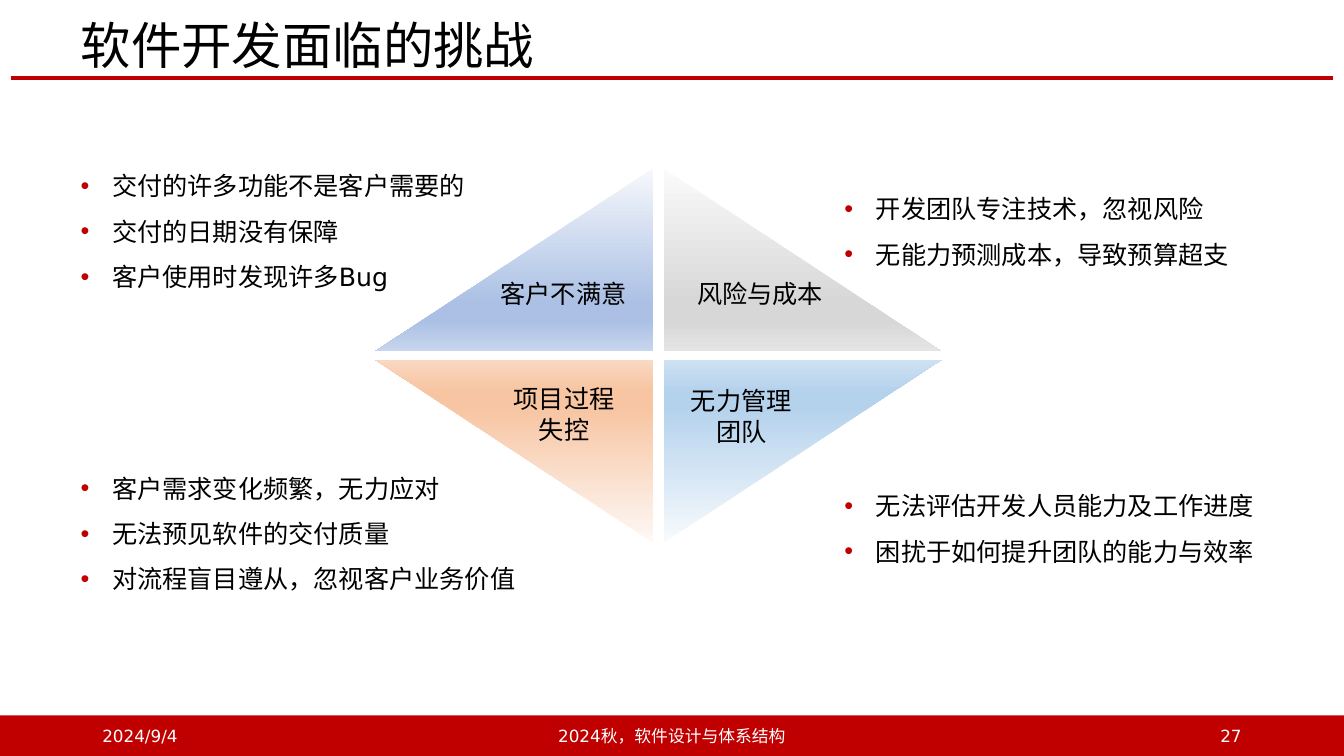
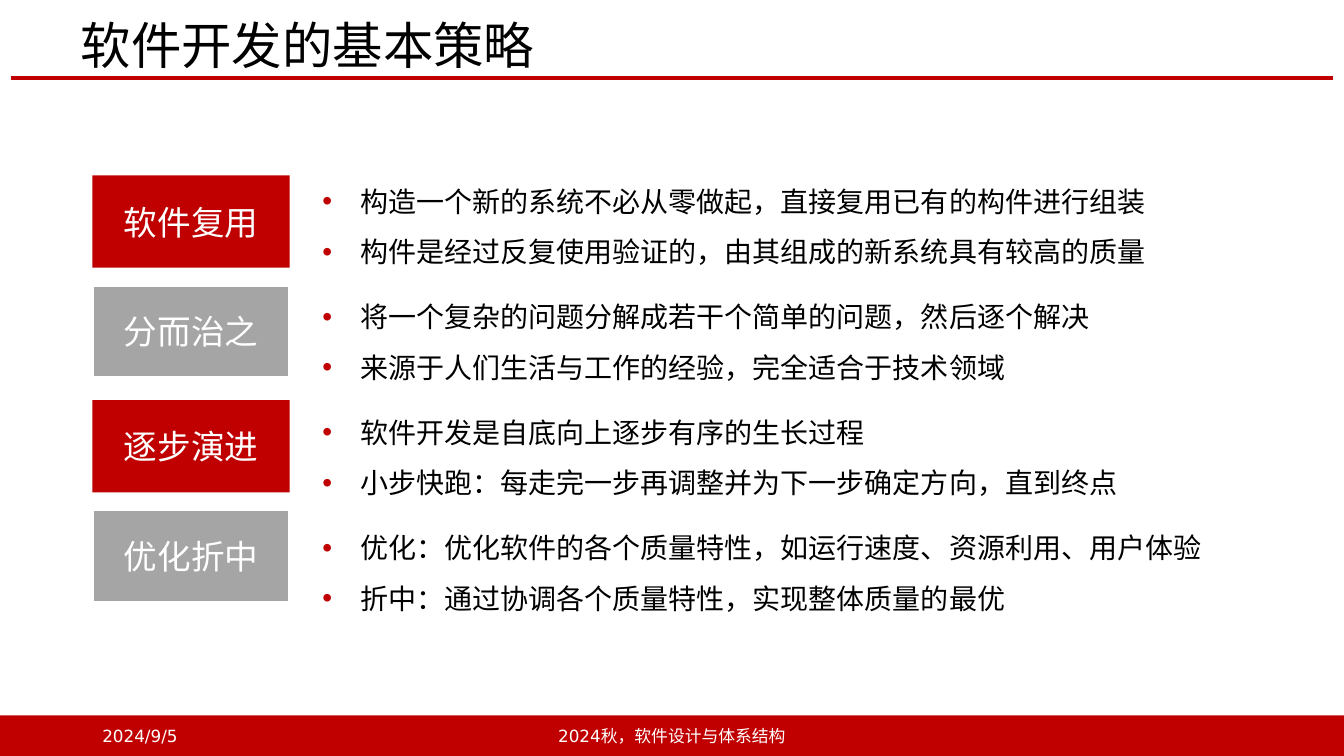
import pptx
import pptx.dml.color
import pptx.enum.shapes
import pptx.enum.text
import pptx.oxml
import pptx.oxml.ns
import pptx.util
from lxml import etree

Pt = pptx.util.Pt
RGBColor = pptx.dml.color.RGBColor
SHAPE = pptx.enum.shapes.MSO_SHAPE
ALIGN = pptx.enum.text.PP_ALIGN
ANCHOR = pptx.enum.text.MSO_ANCHOR
AUTO_SIZE = pptx.enum.text.MSO_AUTO_SIZE
qn = pptx.oxml.ns.qn

# Shared style
RED = RGBColor(0xC0, 0x00, 0x00)
GREY = RGBColor(0xA5, 0xA5, 0xA5)
WHITE = RGBColor(0xFF, 0xFF, 0xFF)
BLACK = RGBColor(0x00, 0x00, 0x00)
TITLE_FONT = "Arial"
TEXT_FONT = "DejaVu Sans"
SLIDE_WIDTH, SLIDE_HEIGHT = 960, 540
BAND_TOP, BAND_HEIGHT = 511, 29
COURSE = "2024秋，软件设计与体系结构"
COMPARISON_LAYOUT = 4  # a title and four bodies

# Gradient stops: positions in percent; each colour list is outer to inner
GRADIENT_STOPS = (0, 74, 83, 100)
BLUES = ("F6F8FC", "ABC0E4", "ABC0E4", "C7D5ED")
ORANGES = ("FEF8F5", "F7C5A2", "F7C5A2", "FAD8C1")
GREYS = ("FAFAFA", "D7D7D7", "D7D7D7", "E4E4E4")
SKY_BLUES = ("F7FAFD", "B5D2EC", "B5D2EC", "CEE1F2")


def place(shape, left, top, width, height):
    shape.left, shape.top = Pt(left), Pt(top)
    shape.width, shape.height = Pt(width), Pt(height)


def write(frame, lines, size, color, font=TEXT_FONT, align=ALIGN.LEFT):
    frame.text = "\n".join(lines)
    for paragraph in frame.paragraphs:
        paragraph.alignment = align
        paragraph.font.name = font
        paragraph.font.size = Pt(size)
        paragraph.font.bold = False
        paragraph.font.color.rgb = color


def add_text(slide, box, lines, size, color, align=ALIGN.LEFT,
             anchor=ANCHOR.TOP, wrap=True):
    frame = slide.shapes.add_textbox(*map(Pt, box)).text_frame
    frame.word_wrap = wrap
    frame.vertical_anchor = anchor
    write(frame, lines, size, color, align=align)


def add_block(slide, kind, box):
    block = slide.shapes.add_shape(kind, *map(Pt, box))
    block.shadow.inherit = False
    block.line.fill.background()
    return block


def add_bullet(paragraph, indent):
    properties = paragraph._p.get_or_add_pPr()
    properties.set("marL", str(Pt(indent)))
    properties.set("indent", str(-Pt(indent)))
    color = etree.SubElement(properties, qn("a:buClr"))
    etree.SubElement(color, qn("a:srgbClr"), val=str(RED))
    etree.SubElement(properties, qn("a:buFont"), typeface="Arial")
    etree.SubElement(properties, qn("a:buChar"), char="•")


def fill_list(body, box, items, size, indent, font=TEXT_FONT):
    place(body, *box)
    frame = body.text_frame
    frame.auto_size = AUTO_SIZE.NONE
    frame.vertical_anchor = ANCHOR.TOP
    frame.text = "\n".join(items)
    for paragraph in frame.paragraphs:
        add_bullet(paragraph, indent)
        paragraph.line_spacing = 1.5
        paragraph.space_before = Pt(0)
    write_fonts = dict(size=size, color=BLACK, font=font)
    for paragraph in frame.paragraphs:
        paragraph.alignment = ALIGN.LEFT
        style_font(paragraph.font, **write_fonts)


def style_font(font_format, size, color, font):
    font_format.name = font
    font_format.size = Pt(size)
    font_format.bold = False
    font_format.color.rgb = color


def add_triangle(slide, box, colors, flip_h, flip_v):
    triangle = add_block(slide, SHAPE.RIGHT_TRIANGLE, box)
    properties = triangle._element.spPr
    if flip_h:
        properties.xfrm.set("flipH", "1")
    if flip_v:
        properties.xfrm.set("flipV", "1")
    gradient = etree.Element(qn("a:gradFill"), rotWithShape="1")
    stops = etree.SubElement(gradient, qn("a:gsLst"))
    for position, color in zip(GRADIENT_STOPS, colors):
        stop = etree.SubElement(stops, qn("a:gs"), pos=str(position * 1000))
        etree.SubElement(stop, qn("a:srgbClr"), val=color)
    etree.SubElement(gradient, qn("a:lin"), ang="5400000", scaled="0")
    properties.find(qn("a:prstGeom")).addnext(gradient)


def add_slide(deck, title, date, number=None):
    """Add a slide with the title, red rule and footer band."""
    slide = deck.slides.add_slide(deck.slide_layouts[COMPARISON_LAYOUT])
    rule = slide.shapes.add_connector(
        pptx.enum.shapes.MSO_CONNECTOR.STRAIGHT, Pt(8), Pt(56), Pt(952), Pt(56))
    rule.line.color.rgb = RED
    rule.line.width = Pt(3)
    etree.SubElement(rule._element.spPr, qn("a:effectLst"))

    band = add_block(slide, SHAPE.RECTANGLE,
                     (0, BAND_TOP, SLIDE_WIDTH, BAND_HEIGHT))
    band.fill.solid()
    band.fill.fore_color.rgb = RED

    heading = slide.shapes.title
    place(heading, 50.4, 13, 843, 43)
    heading.text_frame.auto_size = AUTO_SIZE.NONE
    heading.text_frame.vertical_anchor = ANCHOR.MIDDLE
    write(heading.text_frame, [title], 36, BLACK, TITLE_FONT)
    heading.text_frame.paragraphs[0].line_spacing = 0.9

    footers = [(66, 216, date, ALIGN.LEFT), (318, 324, COURSE, ALIGN.CENTER)]
    if number:
        footers.append((678, 216, number, ALIGN.RIGHT))
    for left, width, text, align in footers:
        add_text(slide, (left, BAND_TOP, width, BAND_HEIGHT), [text], 12,
                 WHITE, align, ANCHOR.MIDDLE)
    return slide


def build_challenges(deck):
    slide = add_slide(deck, "软件开发面临的挑战", "2024/9/4", "27")

    # Diamond of four triangles: column, row, colours, label box, label
    quadrants = [
        (0, 0, BLUES, (350, 195, 105, 29), ["客户不满意"]),
        (0, 1, ORANGES, (358, 270.5, 90, 51), ["项目过程", "失控"]),
        (1, 0, GREYS, (490.5, 195, 105, 29), ["风险与成本"]),
        (1, 1, SKY_BLUES, (486, 272, 87, 51), ["无力管理", "团队"]),
    ]
    for column, row, colors, label_box, label in quadrants:
        box = (268 + 206 * column, 120.5 + 136.5 * row, 198.5, 130.5)
        add_triangle(slide, box, colors, flip_h=column == 0, flip_v=row == 1)
        add_text(slide, label_box, label, 18, BLACK, ALIGN.CENTER, wrap=False)

    # A list beside each triangle
    challenges = [
        ((50.4, 107.5, 300, 101.5),
         ["交付的许多功能不是客户需要的", "交付的日期没有保障",
          "客户使用时发现许多Bug"]),
        ((50.4, 323.5, 336, 101.5),
         ["客户需求变化频繁，无力应对", "无法预见软件的交付质量",
          "对流程盲目遵从，忽视客户业务价值"]),
        ((596, 124, 336, 68.5),
         ["开发团队专注技术，忽视风险", "无能力预测成本，导致预算超支"]),
        ((596, 336, 336, 68.5),
         ["无法评估开发人员能力及工作进度", "困扰于如何提升团队的能力与效率"]),
    ]
    for index, (box, items) in enumerate(challenges, start=1):
        fill_list(slide.placeholders[index], box, items, 18, 22.5)


def build_strategies(deck):
    slide = add_slide(deck, "软件开发的基本策略", "2024/9/5")
    strategies = [
        ("软件复用", ["构造一个新的系统不必从零做起，直接复用已有的构件进行组装",
                  "构件是经过反复使用验证的，由其组成的新系统具有较高的质量"]),
        ("分而治之", ["将一个复杂的问题分解成若干个简单的问题，然后逐个解决",
                  "来源于人们生活与工作的经验，完全适合于技术领域"]),
        ("逐步演进", ["软件开发是自底向上逐步有序的生长过程",
                  "小步快跑：每走完一步再调整并为下一步确定方向，直到终点"]),
        ("优化折中", ["优化：优化软件的各个质量特性，如运行速度、资源利用、用户体验",
                  "折中：通过协调各个质量特性，实现整体质量的最优"]),
    ]
    for index, (name, items) in enumerate(strategies):
        # Red and grey tiles alternate in pairs
        pair, is_grey = divmod(index, 2)
        tile = add_block(slide, SHAPE.RECTANGLE,
                         (66, 125.3 + 160.5 * pair + 78.5 * is_grey, 141, 66))
        tile.fill.solid()
        tile.fill.fore_color.rgb = GREY if is_grey else RED
        if is_grey:
            tile.line.color.rgb = WHITE
            tile.line.width = Pt(2)
        tile.text_frame.vertical_anchor = ANCHOR.MIDDLE
        write(tile.text_frame, [name], 24, WHITE, align=ALIGN.CENTER)

        fill_list(slide.placeholders[index + 1],
                  (223, 116 + 82.5 * index, 646, 76), items, 20, 27, "Arial")


def main():
    deck = pptx.Presentation()
    deck.slide_width, deck.slide_height = Pt(SLIDE_WIDTH), Pt(SLIDE_HEIGHT)
    build_challenges(deck)
    build_strategies(deck)
    deck.save("out.pptx")


if __name__ == "__main__":
    main()
